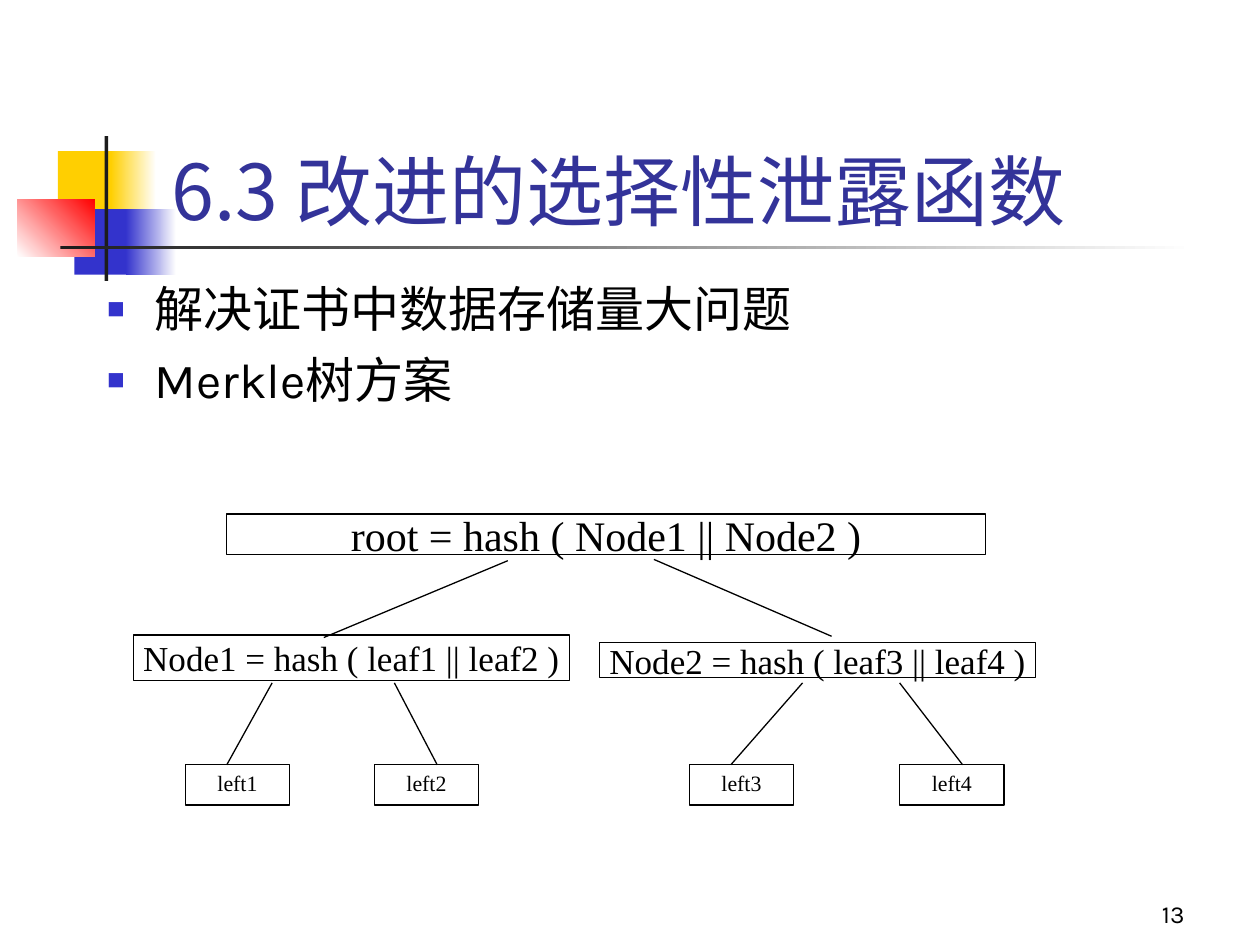
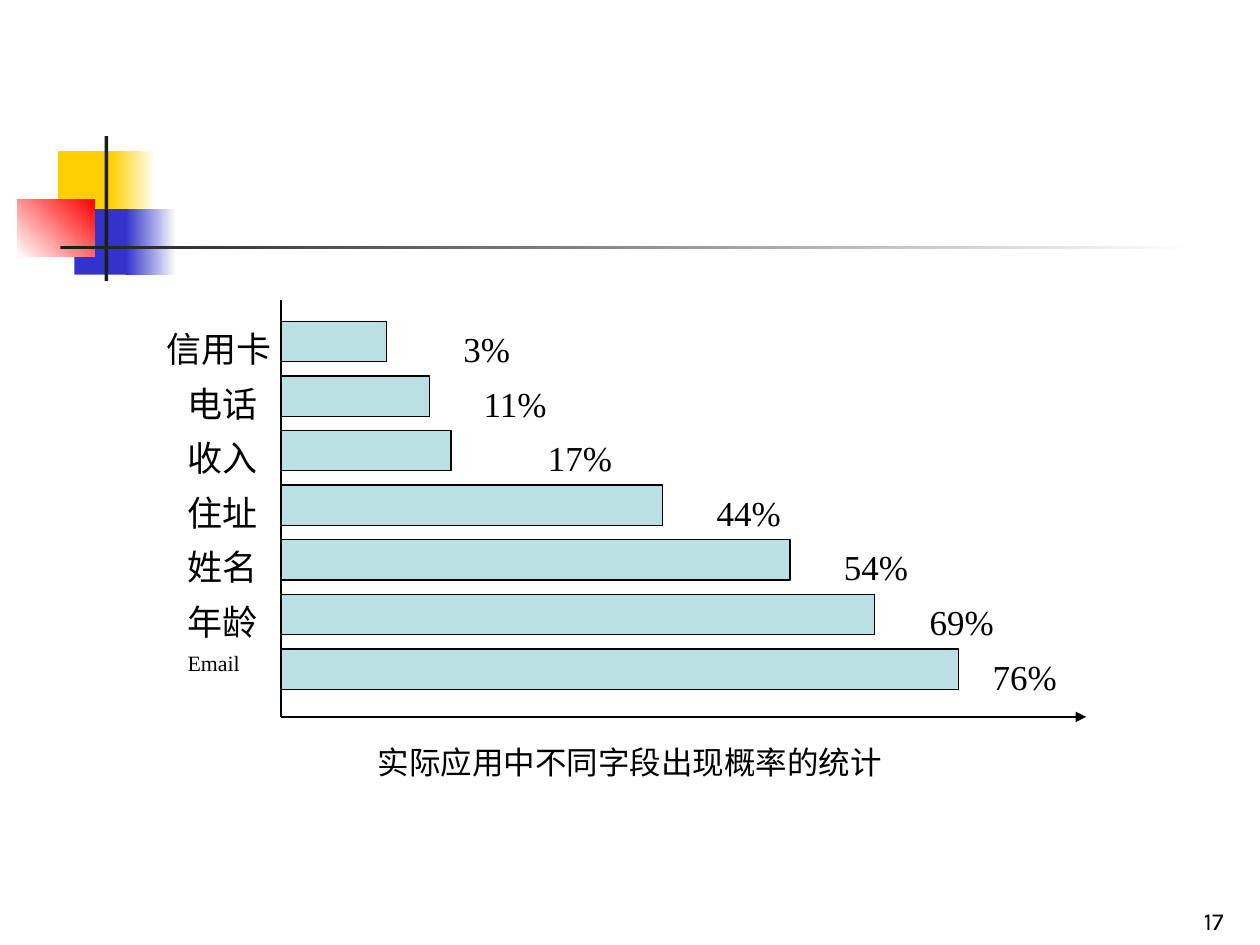
from dataclasses import dataclass
from typing import Optional

from lxml.etree import SubElement
from pptx import Presentation
from pptx.dml.color import RGBColor
from pptx.enum.shapes import MSO_CONNECTOR, MSO_SHAPE
from pptx.enum.text import MSO_ANCHOR, MSO_AUTO_SIZE, PP_ALIGN
from pptx.oxml.ns import qn
from pptx.util import Inches, Pt

BLACK, WHITE, CHARCOAL = "000000", "FFFFFF", "1C1C1C"
YELLOW, BLUE, RED = "FFCF01", "3333CC", "FF0000"
TITLE_BLUE, BAR_TEAL = "333399", "BBE0E3"
SERIF, SANS, BODY_FONT, CJK_FONT = "Times New Roman", "Arial", "Karla", "Noto Sans CJK SC"


@dataclass(frozen=True)
class Area:
    left: float
    top: float
    width: float
    height: float

    def lengths(self) -> tuple:
        return tuple(Inches(n) for n in (self.left, self.top, self.width, self.height))


@dataclass(frozen=True)
class Band:
    area: Area
    start: str
    end: Optional[str] = None
    angle: int = 0


@dataclass(frozen=True)
class TreeNode:
    text: str
    area: Area
    size: float


@dataclass(frozen=True)
class FieldBar:
    label: str
    value: str
    width: float
    value_left: float


BANDS = (
    Band(Area(0.46, 1.2, 0.48, 0.52), YELLOW),
    Band(Area(0.88, 1.2, 0.36, 0.52), YELLOW, WHITE),
    Band(Area(0.59, 1.66, 0.46, 0.52), BLUE),
    Band(Area(1, 1.66, 0.4, 0.52), BLUE, WHITE),
    Band(Area(0.14, 1.58, 0.61, 0.46), WHITE, RED, 45),
    Band(Area(0.83, 1.08, 0.03, 1.15), CHARCOAL),
    Band(Area(0.48, 1.95, 9, 0.03), CHARCOAL, WHITE),
)

LEAF_LEFTS = (1.47, 2.97, 5.47, 7.14)
TREE_NODES = (
    TreeNode("root = hash ( Node1 || Node2 )", Area(1.8, 4.08, 6.02, 0.32), 24),
    TreeNode("Node1 = hash ( leaf1 || leaf2 )", Area(1.06, 5.04, 3.46, 0.36), 20),
    TreeNode("Node2 = hash ( leaf3 || leaf4 )", Area(4.76, 5.1, 3.46, 0.28), 20),
)
BRANCHES = (
    (4.03, 4.45, 2.57, 5.06),
    (5.19, 4.44, 6.6, 5.05),
    (2.16, 5.42, 1.8, 6.07),
    (3.13, 5.42, 3.47, 6.07),
    (6.37, 5.42, 5.8, 6.07),
    (7.14, 5.42, 7.64, 6.07),
)

FIELD_BARS = (
    FieldBar("信用卡", "3%", 0.84, 3.58),
    FieldBar("电话", "11%", 1.18, 3.74),
    FieldBar("收入", "17%", 1.35, 4.25),
    FieldBar("住址", "44%", 3.03, 5.59),
    FieldBar("姓名", "54%", 4.04, 6.6),
    FieldBar("年龄", "69%", 4.71, 7.28),
    FieldBar("Email", "76%", 5.38, 7.78),
)
AXIS_LEFT, AXIS_TOP, AXIS_BOTTOM, AXIS_RIGHT = 2.23, 2.38, 5.69, 8.62
FIRST_BAR_TOP, LAST_BAR_TOP, BAR_HEIGHT = 2.55, 5.15, 0.32


def color(value: str) -> RGBColor:
    return RGBColor.from_string(value)


def write(shape, *lines: str, size: float, font: str, ink: str = BLACK,
          east_asian: Optional[str] = None, align=PP_ALIGN.LEFT, anchor=MSO_ANCHOR.TOP,
          wrap: bool = True, spacing: Optional[float] = None) -> None:
    frame = shape.text_frame
    frame.auto_size = MSO_AUTO_SIZE.NONE
    frame.word_wrap = wrap
    frame.vertical_anchor = anchor
    frame.text = "\n".join(lines)
    for para in frame.paragraphs:
        para.alignment = align
        para.line_spacing = spacing
        for span in para.runs:
            span.font.size = Pt(size)
            span.font.name = font
            span.font.color.rgb = color(ink)
            if east_asian:
                SubElement(span.font._element, qn("a:ea"), typeface=east_asian)


def add_text(page, area: Area, text: str, **text_format) -> None:
    write(page.shapes.add_textbox(*area.lengths()), text, **text_format)


def add_box(page, area: Area, fill: str, line: Optional[str] = None):
    box = page.shapes.add_shape(MSO_SHAPE.RECTANGLE, *area.lengths())
    box.shadow.inherit = False
    box.fill.solid()
    box.fill.fore_color.rgb = color(fill)
    if line:
        box.line.color.rgb = color(line)
        box.line.width = Pt(0.75)
    else:
        box.line.fill.background()
    return box


def add_line(page, ends: tuple, arrow: bool = False) -> None:
    line = page.shapes.add_connector(MSO_CONNECTOR.STRAIGHT, *(Inches(n) for n in ends))
    line.line.color.rgb = color(BLACK)
    line.line.width = Pt(0.75)
    if arrow:
        SubElement(line.line._get_or_add_ln(), qn("a:tailEnd"), type="triangle")
    SubElement(line._element.spPr, qn("a:effectLst"))


def add_band(page, band: Band) -> None:
    box = add_box(page, band.area, band.start)
    if band.end:
        box.fill.gradient()
        box.fill.gradient_angle = band.angle
        for stop, value in zip(box.fill.gradient_stops, (band.start, band.end)):
            stop.color.rgb = color(value)


def add_page(deck, layout: int, number: str, number_area: Area):
    page = deck.slides.add_slide(deck.slide_layouts[layout])
    for band in BANDS:
        add_band(page, band)
    add_text(page, number_area, number, size=14, font=BODY_FONT,
             align=PP_ALIGN.RIGHT, anchor=MSO_ANCHOR.BOTTOM)
    return page


def place(shape, area: Area) -> None:
    shape.left, shape.top, shape.width, shape.height = area.lengths()


def set_bullet(para) -> None:
    para.space_before = Pt(7)
    properties = para._p.get_or_add_pPr()
    properties.set("marL", str(Inches(0.38)))
    properties.set("indent", str(-Inches(0.38)))
    bullet_color = SubElement(properties, qn("a:buClr"))
    SubElement(bullet_color, qn("a:srgbClr"), val=BLUE)
    SubElement(properties, qn("a:buSzPct"), val="60000")
    SubElement(properties, qn("a:buFont"), typeface=SANS)
    SubElement(properties, qn("a:buChar"), char="■")


def build_tree_page(deck) -> None:
    page = add_page(deck, 1, "13", Area(7.42, 6.92, 2.08, 0.5))
    title, body = page.shapes.title, page.placeholders[1]
    place(title, Area(1.26, 0.67, 8.52, 1.25))
    write(title, "6.3 改进的选择性泄露函数", size=44, font=CJK_FONT, ink=TITLE_BLUE,
          east_asian=CJK_FONT, anchor=MSO_ANCHOR.BOTTOM)
    place(body, Area(0.75, 2.16, 8.34, 4.5))
    write(body, "解决证书中数据存储量大问题", "Merkle树方案", size=28, font=BODY_FONT)
    for para in body.text_frame.paragraphs:
        set_bullet(para)

    for node in TREE_NODES:
        write(add_box(page, node.area, WHITE, BLACK), node.text, size=node.size, font=SERIF,
              align=PP_ALIGN.CENTER, anchor=MSO_ANCHOR.MIDDLE, wrap=False)
    for index, left in enumerate(LEAF_LEFTS, start=1):
        leaf = add_box(page, Area(left, 6.07, 0.83, 0.32), WHITE, BLACK)
        write(leaf, f"left{index}", size=12.5, font=SERIF, align=PP_ALIGN.CENTER,
              anchor=MSO_ANCHOR.MIDDLE, spacing=0.8)
    for ends in BRANCHES:
        add_line(page, ends)


def build_statistics_page(deck) -> None:
    page = add_page(deck, 6, "17", Area(7.46, 6.97, 2.35, 0.5))
    pitch = (LAST_BAR_TOP - FIRST_BAR_TOP) / (len(FIELD_BARS) - 1)
    for index, bar in enumerate(FIELD_BARS):
        top = FIRST_BAR_TOP + index * pitch
        add_box(page, Area(AXIS_LEFT, top, bar.width, BAR_HEIGHT), BAR_TEAL, BLACK)
        add_text(page, Area(bar.value_left, top, 0.67, BAR_HEIGHT), bar.value,
                 size=20, font=SERIF, wrap=False)
        if bar.label.isascii():
            add_text(page, Area(1.39, top, 1.01, BAR_HEIGHT), bar.label,
                     size=12.5, font=SERIF, spacing=0.8)
        else:
            left, width = (1.22, 0.94) if len(bar.label) > 2 else (1.39, 0.71)
            add_text(page, Area(left, top, width, 0.22), bar.label,
                     size=20, font=SANS, wrap=False)
    add_line(page, (AXIS_LEFT, AXIS_BOTTOM, AXIS_RIGHT, AXIS_BOTTOM), arrow=True)
    add_line(page, (AXIS_LEFT, AXIS_TOP, AXIS_LEFT, AXIS_BOTTOM))
    add_text(page, Area(2.9, 5.85, 4.73, 0.4), "实际应用中不同字段出现概率的统计",
             size=18, font=BODY_FONT)


def main() -> None:
    deck = Presentation()
    deck.slide_width, deck.slide_height = Inches(10), Inches(7.5)
    build_tree_page(deck)
    build_statistics_page(deck)
    deck.save("out.pptx")


if __name__ == "__main__":
    main()
